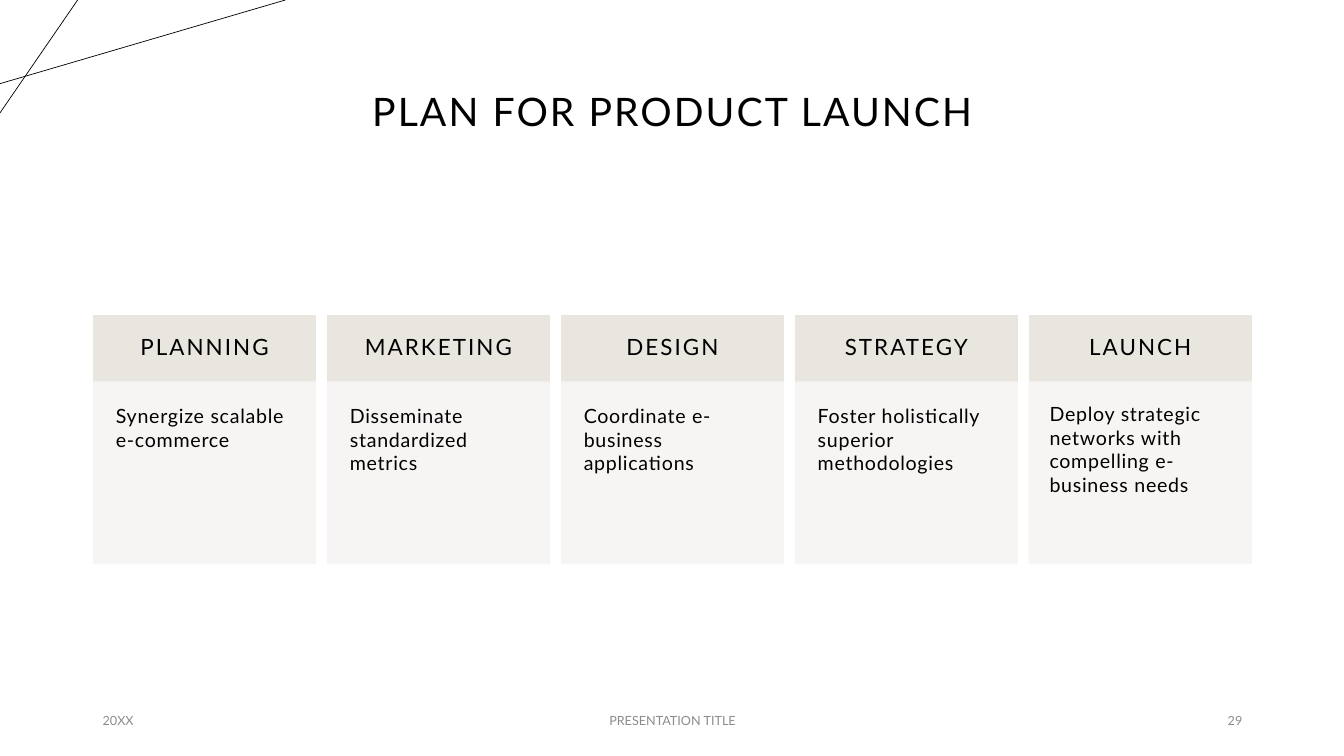
"""Build the product launch plan slide with five stage cards."""
import dataclasses

import lxml.etree
import pptx
import pptx.dml.color
import pptx.enum.shapes
import pptx.enum.text
import pptx.oxml.ns
import pptx.util

Inches = pptx.util.Inches
Align = pptx.enum.text.PP_ALIGN
Anchor = pptx.enum.text.MSO_ANCHOR

TITLE = "PLAN FOR PRODUCT LAUNCH"
STAGES = [
    ("PLANNING", "Synergize scalable e-commerce", 0.22),
    ("MARKETING", "Disseminate standardized metrics", 0.22),
    ("DESIGN", "Coordinate e-business applications", 0.22),
    ("STRATEGY", "Foster holistically superior methodologies", 0.22),
    ("LAUNCH", "Deploy strategic networks with compelling e-business needs", 0.2),
]
FOOTERS = [
    ("20XX", 0.92, 3, Align.LEFT),
    ("PRESENTATION TITLE", 4.42, 4.5, Align.CENTER),
    ("29", 9.42, 3, Align.RIGHT),
]
CORNER_LINES = [(0, 0.83, 2.83, 0), (0.77, 0, 0, 1.12)]

CARD_LEFT, CARD_TOP, CARD_WIDTH, CARD_PITCH = 0.93, 3.13, 2.2, 2.32
HEADER_HEIGHT, BODY_HEIGHT = 0.66, 1.8


@dataclasses.dataclass(frozen=True)
class Theme:
    font: str = "Lato"
    ink: str = "000000"
    muted: str = "8C8C8C"
    header: str = "E9E6DF"
    body: str = "F7F5F3"
    title_size: float = 28
    header_size: float = 16
    body_size: float = 14
    footer_size: float = 9


THEME = Theme()


def rgb(value):
    return pptx.dml.color.RGBColor.from_string(value)


def write(shape, text, size, color, align, anchor, tracking=0, line_spacing=1.0, inset=None):
    frame = shape.text_frame
    frame.text = text
    frame.word_wrap = True
    frame.auto_size = pptx.enum.text.MSO_AUTO_SIZE.NONE
    frame.vertical_anchor = anchor
    if inset is not None:
        frame.margin_left = frame.margin_right = Inches(inset)
        frame.margin_top = frame.margin_bottom = Inches(inset)
    paragraph = frame.paragraphs[0]
    paragraph.alignment = align
    paragraph.line_spacing = line_spacing
    for run in paragraph.runs:
        run.font.name = THEME.font
        run.font.size = pptx.util.Pt(size)
        run.font.color.rgb = rgb(color)
        run.font._element.set("spc", str(round(tracking * 100)))


def add_panel(slide, left, top, height, color, opacity=100):
    panel = slide.shapes.add_shape(
        pptx.enum.shapes.MSO_SHAPE.RECTANGLE,
        Inches(left), Inches(top), Inches(CARD_WIDTH), Inches(height))
    panel.shadow.inherit = False
    panel.fill.solid()
    panel.fill.fore_color.rgb = rgb(color)
    panel.line.color.rgb = rgb(color)
    panel.line.width = pptx.util.Pt(1)
    if opacity < 100:
        qn = pptx.oxml.ns.qn
        for element in panel._element.spPr.iter(qn("a:srgbClr")):
            lxml.etree.SubElement(element, qn("a:alpha"), val=str(opacity * 1000))
    return panel


def add_corner_line(slide, ends):
    line = slide.shapes.add_connector(
        pptx.enum.shapes.MSO_CONNECTOR.STRAIGHT, *(Inches(value) for value in ends))
    line.line.color.rgb = rgb(THEME.ink)
    line.line.width = pptx.util.Pt(0.5)
    lxml.etree.SubElement(line._element.spPr, pptx.oxml.ns.qn("a:effectLst"))


def add_card(slide, index, heading, detail, inset):
    left = CARD_LEFT + index * CARD_PITCH
    header = add_panel(slide, left, CARD_TOP, HEADER_HEIGHT, THEME.header)
    write(header, heading, THEME.header_size, THEME.ink, Align.CENTER, Anchor.MIDDLE,
          tracking=1.5, line_spacing=0.9, inset=0.17)
    body = add_panel(slide, left, CARD_TOP + HEADER_HEIGHT, BODY_HEIGHT, THEME.body, 90)
    write(body, detail, THEME.body_size, THEME.ink, Align.LEFT, Anchor.TOP,
          tracking=0.5, inset=inset)


def main():
    presentation = pptx.Presentation()
    presentation.slide_width, presentation.slide_height = Inches(13.33), Inches(7.5)
    slide = presentation.slides.add_slide(presentation.slide_layouts[5])

    title = slide.shapes.title
    title.left, title.top = Inches(0.92), Inches(0.4)
    title.width, title.height = Inches(11.5), Inches(1.45)
    write(title, TITLE, THEME.title_size, THEME.ink, Align.CENTER, Anchor.MIDDLE,
          tracking=1.5, line_spacing=0.9)

    for ends in CORNER_LINES:
        add_corner_line(slide, ends)
    for index, (heading, detail, inset) in enumerate(STAGES):
        add_card(slide, index, heading, detail, inset)
    for text, left, width, align in FOOTERS:
        footer = slide.shapes.add_textbox(Inches(left), Inches(6.95), Inches(width), Inches(0.4))
        write(footer, text, THEME.footer_size, THEME.muted, align, Anchor.MIDDLE)

    presentation.save("out.pptx")


if __name__ == "__main__":
    main()
